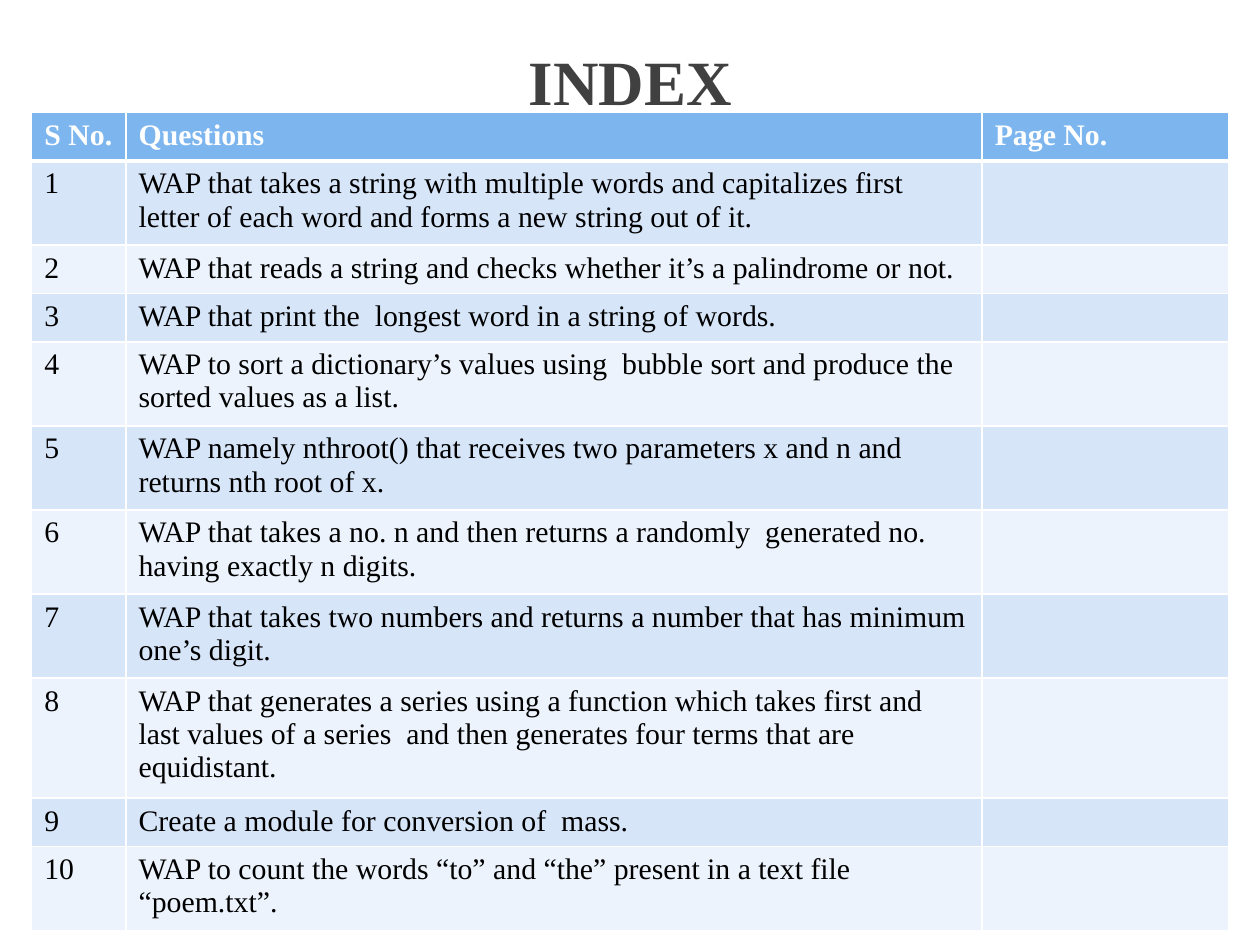
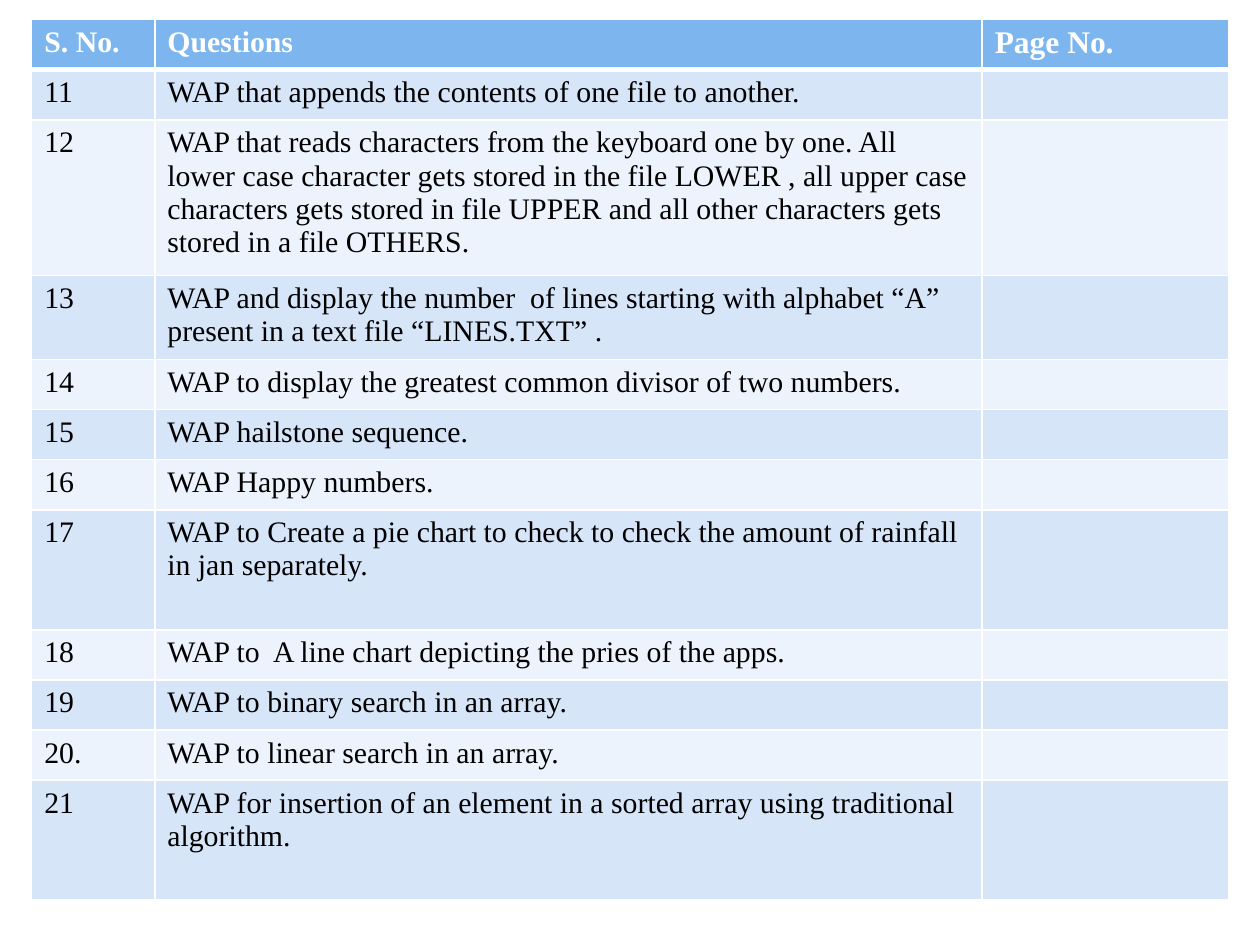
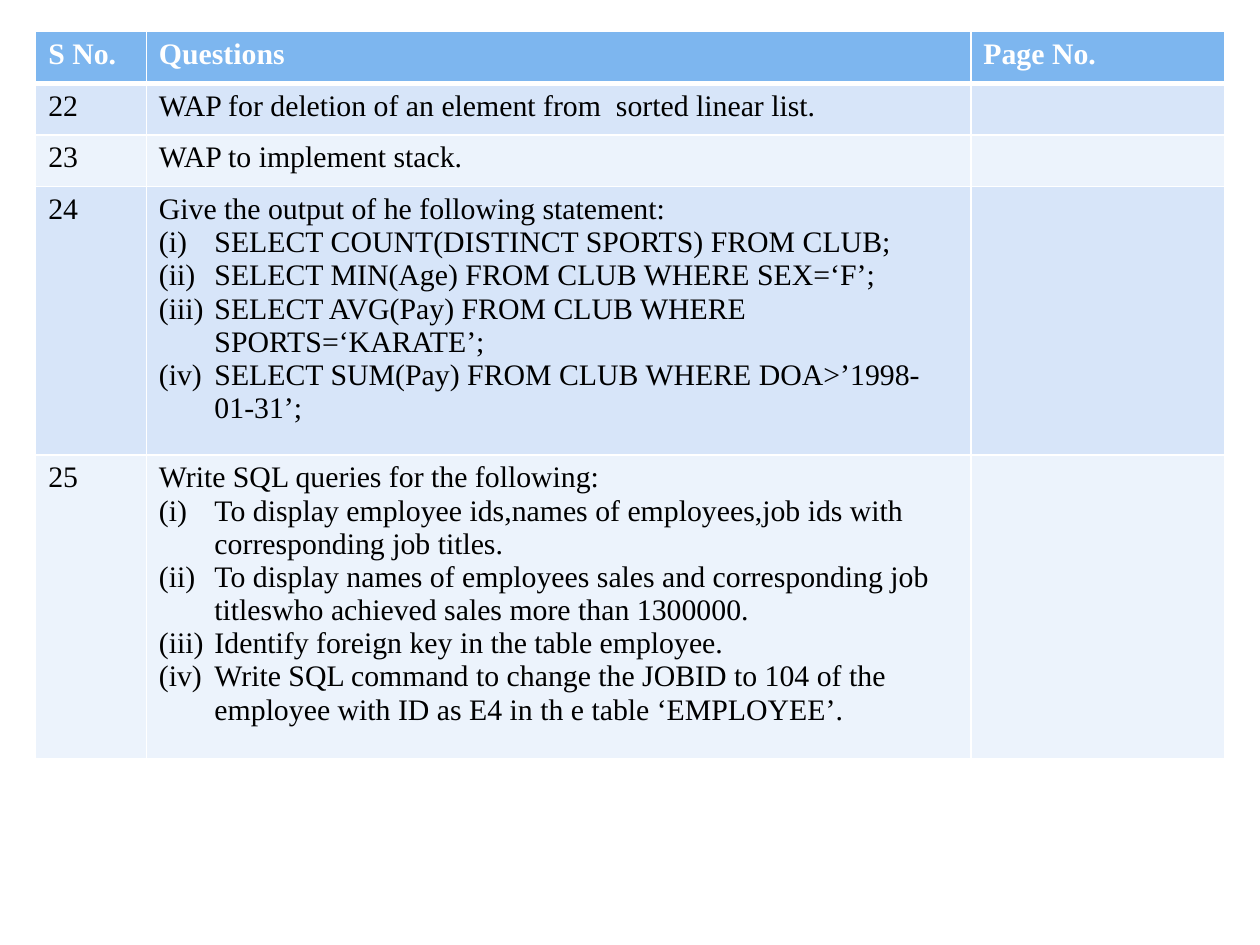
"""Build the three index slides of a programming practical file."""
from dataclasses import dataclass

from lxml import etree
from pptx import Presentation
from pptx import util as u
from pptx.dml.color import RGBColor
from pptx.enum import text
from pptx.oxml.ns import qn


@dataclass(frozen=True)
class Theme:
    font: str = "Times New Roman"
    title_size: float = 36
    body_size: float = 17
    large_header_size: float = 18
    title: str = "404040"
    header: str = "7DB6EF"
    bands: tuple[str, str] = ("D7E5F9", "ECF3FC")
    light: str = "FFFFFF"
    dark: str = "000000"
    thin: float = 1
    thick: float = 3
    indent: float = 1.12


@dataclass(frozen=True)
class Entry:
    number: str
    question: str
    lines: int = 1
    items: tuple[str, ...] = ()


@dataclass(frozen=True)
class IndexTable:
    left: float
    top: float
    columns: tuple[float, float, float]
    row_height: float
    entries: tuple[Entry, ...]
    number_label: str = "S No."
    page_size: float = 17
    title: str = ""


THEME = Theme()
TALL_ROWS = {2: 1.69, 3: 2.42, 4: 3.13, 7: 5.41, 8: 6.13}

TABLES = (
    IndexTable(0.64, 2.27, (1.9, 17.26, 4.97), 0.97, (
        Entry("1", "WAP that takes a string with multiple words and capitalizes first "
              "letter of each word and forms a new string out of it.", 2),
        Entry("2", "WAP that reads a string and checks whether it’s a palindrome or not."),
        Entry("3", "WAP that print the  longest word in a string of words."),
        Entry("4", "WAP to sort a dictionary’s values using  bubble sort and produce the "
              "sorted values as a list.", 2),
        Entry("5", "WAP namely nthroot() that receives two parameters x and n and "
              "returns nth root of x.", 2),
        Entry("6", "WAP that takes a no. n and then returns a randomly  generated no. "
              "having exactly n digits.", 2),
        Entry("7", "WAP that takes two numbers and returns a number that has minimum "
              "one’s digit.", 2),
        Entry("8", "WAP that generates a series using a function which takes first and "
              "last values of a series  and then generates four terms that are "
              "equidistant.", 3),
        Entry("9", "Create a module for conversion of  mass."),
        Entry("10", "WAP to count the words “to” and “the” present in a text file "
              "“poem.txt”.", 2),
    ), title="INDEX"),
    IndexTable(0.64, 0.39, (2.48, 16.68, 4.97), 1.01, (
        Entry("11", "WAP that appends the contents of one file to another."),
        Entry("12", "WAP that reads characters from the keyboard one by one. All "
              "lower case character gets stored in the file LOWER , all upper case "
              "characters gets stored in file UPPER and all other characters gets "
              "stored in a file OTHERS.", 4),
        Entry("13", "WAP and display the number  of lines starting with alphabet “A” "
              "present in a text file “LINES.TXT” .", 2),
        Entry("14", "WAP to display the greatest common divisor of two numbers."),
        Entry("15", "WAP hailstone sequence."),
        Entry("16", "WAP Happy numbers."),
        Entry("17", "WAP to Create a pie chart to check to check the amount of rainfall "
              "in jan separately.", 3),
        Entry("18", "WAP to  A line chart depicting the pries of the apps."),
        Entry("19", "WAP to binary search in an array."),
        Entry("20.", "WAP to linear search in an array."),
        Entry("21", "WAP for insertion of an element in a sorted array using traditional "
              "algorithm.", 3),
    ), number_label="S. No.", page_size=THEME.large_header_size),
    IndexTable(0.72, 0.64, (2.23, 16.62, 5.11), 1.04, (
        Entry("22", "WAP for deletion of an element from  sorted linear list."),
        Entry("23", "WAP to implement stack."),
        Entry("24", "Give the output of he following statement:", 7, (
            "SELECT COUNT(DISTINCT SPORTS) FROM CLUB;",
            "SELECT MIN(Age) FROM CLUB WHERE SEX=‘F’;",
            "SELECT AVG(Pay) FROM CLUB WHERE SPORTS=‘KARATE’;",
            "SELECT SUM(Pay) FROM CLUB WHERE DOA>’1998-01-31’;",
        )),
        Entry("25", "Write SQL queries for the following:", 8, (
            "To display employee ids,names of employees,job ids with "
            "corresponding job titles.",
            "To display names of employees sales and corresponding job "
            "titleswho achieved sales more than 1300000.",
            "Identify foreign key in the table employee.",
            "Write SQL command to change the JOBID to 104 of the "
            "employee with ID as E4 in th e table ‘EMPLOYEE’.",
        )),
    )),
)


def add_run(paragraph, content: str, size: float, color: str, bold: bool = False) -> None:
    run = paragraph.add_run()
    run.text = content
    run.font.name = THEME.font
    run.font.size = u.Pt(size)
    run.font.bold = bold
    run.font.color.rgb = RGBColor.from_string(color)


def add_title(slide, content: str) -> None:
    shape = slide.shapes.add_textbox(u.Cm(0.64), u.Cm(0.64), u.Cm(24.13), u.Cm(1.8))
    frame = shape.text_frame
    frame.word_wrap = True
    frame.vertical_anchor = text.MSO_ANCHOR.BOTTOM
    frame.margin_bottom = u.Cm(0.05)
    paragraph = frame.paragraphs[0]
    paragraph.alignment = text.PP_ALIGN.CENTER
    add_run(paragraph, content, THEME.title_size, THEME.title, True)


def style_cell(cell, fill: str, top: float, bottom: float) -> None:
    properties = cell._tc.get_or_add_tcPr()
    widths = {"lnL": THEME.thin, "lnR": THEME.thin, "lnT": top, "lnB": bottom}
    for side, width in widths.items():
        line = etree.SubElement(properties, qn(f"a:{side}"), w=str(u.Pt(width)))
        solid = etree.SubElement(line, qn("a:solidFill"))
        etree.SubElement(solid, qn("a:srgbClr"), val=THEME.light)
    cell.fill.solid()
    cell.fill.fore_color.rgb = RGBColor.from_string(fill)


def add_numbered(frame, content: str) -> None:
    paragraph = frame.add_paragraph()
    properties = paragraph._p.get_or_add_pPr()
    indent = u.Cm(THEME.indent)
    properties.set("marL", str(indent))
    properties.set("indent", str(-indent))
    etree.SubElement(properties, qn("a:buFont"), typeface="+mj-lt")
    etree.SubElement(properties, qn("a:buAutoNum"), type="romanLcParenBoth")
    add_run(paragraph, content, THEME.body_size, THEME.dark)


def set_empty_size(cell) -> None:
    paragraph = cell.text_frame.paragraphs[0]
    ending = etree.SubElement(paragraph._p, qn("a:endParaRPr"), sz=str(int(THEME.body_size * 100)))
    etree.SubElement(ending, qn("a:latin"), typeface=THEME.font)


def fill_header(table, index: IndexTable) -> None:
    labels = (index.number_label, "Questions", "Page No.")
    sizes = (THEME.body_size, THEME.body_size, index.page_size)
    for cell, label, size in zip(table.rows[0].cells, labels, sizes):
        style_cell(cell, THEME.header, THEME.thin, THEME.thick)
        add_run(cell.text_frame.paragraphs[0], label, size, THEME.light, True)


def fill_entry(table, position: int, entry: Entry) -> None:
    number, question, page = cells = tuple(table.rows[position].cells)
    top = THEME.thick if position == 1 else THEME.thin
    for cell in cells:
        style_cell(cell, THEME.bands[(position - 1) % 2], top, THEME.thin)
    for cell, content in ((number, entry.number), (question, entry.question)):
        add_run(cell.text_frame.paragraphs[0], content, THEME.body_size, THEME.dark)
    for item in entry.items:
        add_numbered(question.text_frame, item)
    set_empty_size(page)


def add_index_table(slide, index: IndexTable) -> None:
    heights = [index.row_height]
    heights += [TALL_ROWS.get(entry.lines, index.row_height) for entry in index.entries]
    table = slide.shapes.add_table(
        len(heights), len(index.columns), u.Cm(index.left), u.Cm(index.top),
        u.Cm(sum(index.columns)), u.Cm(sum(heights))).table
    for column, width in zip(table.columns, index.columns):
        column.width = u.Cm(width)
    for row, height in zip(table.rows, heights):
        row.height = u.Cm(height)
    fill_header(table, index)
    for position, entry in enumerate(index.entries, start=1):
        fill_entry(table, position, entry)


def main() -> None:
    presentation = Presentation()
    presentation.slide_width = u.Cm(25.4)
    presentation.slide_height = u.Cm(19.05)
    for index in TABLES:
        slide = presentation.slides.add_slide(presentation.slide_layouts[6])
        if index.title:
            add_title(slide, index.title)
        add_index_table(slide, index)
    presentation.save("out.pptx")


main()
